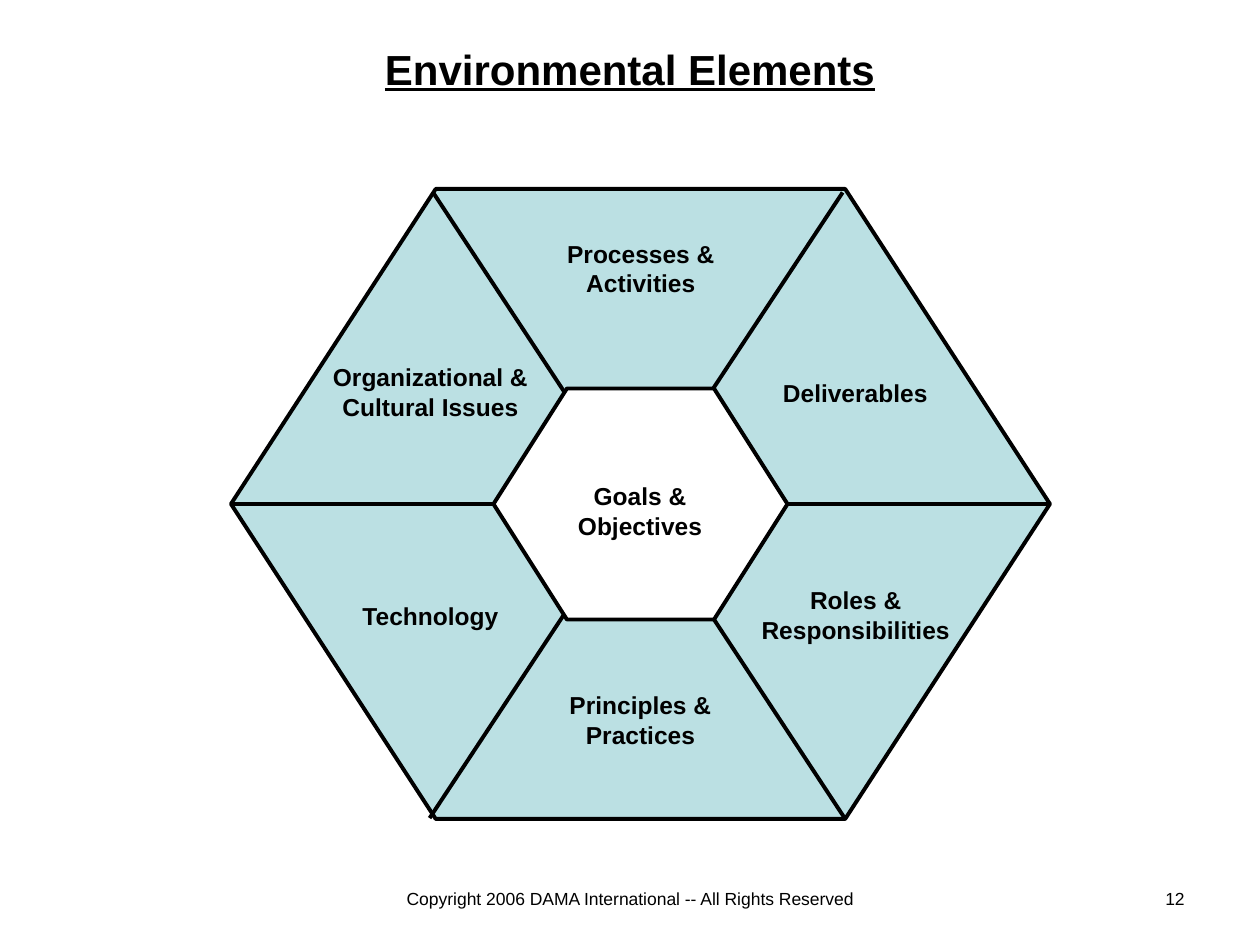
"""Build the Environmental Elements hexagon slide."""
from dataclasses import dataclass

import pptx
import pptx.dml.color
import pptx.enum.shapes
import pptx.enum.text
import pptx.oxml.ns
import pptx.shapes.group
import pptx.util
from lxml import etree

Pt = pptx.util.Pt
Align = pptx.enum.text.PP_ALIGN
BLACK = pptx.dml.color.RGBColor(0x00, 0x00, 0x00)
WHITE = pptx.dml.color.RGBColor(0xFF, 0xFF, 0xFF)
PALE_TEAL = pptx.dml.color.RGBColor(0xBB, 0xE0, 0xE3)
FONT = "Arial"
LINE_WIDTH = 2.25


@dataclass
class Hexagon:
    left: float
    top: float
    width: float
    height: float
    inset: float
    fill: pptx.dml.color.RGBColor


@dataclass
class Spoke:
    start: tuple[float, float]
    end: tuple[float, float]


@dataclass
class Label:
    text: str
    left: float
    top: float
    width: float
    height: float = 41


OUTER = Hexagon(132, 108, 468, 360, 0.325, PALE_TEAL)
CENTRE = Hexagon(282, 222, 168, 132, 0.318, WHITE)
SPOKES = [
    Spoke((600, 288), (132, 288)),
    Spoke((247.5, 110), (483, 468)),
    Spoke((245.5, 467.5), (481.5, 110)),
]
ELEMENTS = [
    Label("Roles & Responsibilities", 411, 331, 156),
    Label("Deliverables", 421, 212.5, 135.5, 24.5),
    Label("Principles & Practices", 315, 391, 102),
    Label("Organizational & Cultural Issues", 181, 203.5, 130),
    Label("Processes & Activities", 304, 133, 124.5),
    Label("Technology", 168, 340, 156, 24.5),
]
GOALS = Label("Goals & Objectives", 298, 271.5, 135.5)
COPYRIGHT = Label("Copyright 2006 DAMA International -- All Rights Reserved", 210, 504, 300, 25)
PAGE_NUMBER = Label("12", 516, 504, 168, 25)


def style_text(paragraph, size: float, align: Align, bold: bool = False) -> None:
    paragraph.alignment = align
    paragraph.font.name = FONT
    paragraph.font.size = Pt(size)
    paragraph.font.bold = bold
    paragraph.font.color.rgb = BLACK


def draw_hexagon(group: pptx.shapes.group.GroupShape, hexagon: Hexagon) -> None:
    shape = group.shapes.add_shape(
        pptx.enum.shapes.MSO_SHAPE.HEXAGON,
        Pt(hexagon.left), Pt(hexagon.top), Pt(hexagon.width), Pt(hexagon.height),
    )
    shape.adjustments[0] = hexagon.inset
    shape.shadow.inherit = False
    shape.fill.solid()
    shape.fill.fore_color.rgb = hexagon.fill
    shape.line.color.rgb = BLACK
    shape.line.width = Pt(LINE_WIDTH)


def draw_spoke(group: pptx.shapes.group.GroupShape, spoke: Spoke) -> None:
    line = group.shapes.add_connector(
        pptx.enum.shapes.MSO_CONNECTOR.STRAIGHT, *map(Pt, spoke.start + spoke.end)
    )
    line.line.color.rgb = BLACK
    line.line.width = Pt(LINE_WIDTH)
    etree.SubElement(line._element.spPr, pptx.oxml.ns.qn("a:effectLst"))


def draw_label(shapes, label: Label, size: float = 14, bold: bool = True,
               align: Align = Align.CENTER) -> None:
    box = shapes.add_textbox(Pt(label.left), Pt(label.top), Pt(label.width), Pt(label.height))
    box.text_frame.word_wrap = True
    box.text_frame.text = label.text
    style_text(box.text_frame.paragraphs[0], size, align, bold)


def draw_title(title, text: str) -> None:
    title.left, title.top, title.width, title.height = Pt(36), Pt(18), Pt(648), Pt(42)
    title.text_frame.text = text
    title.text_frame.vertical_anchor = pptx.enum.text.MSO_ANCHOR.MIDDLE
    paragraph = title.text_frame.paragraphs[0]
    style_text(paragraph, 24, Align.CENTER, True)
    paragraph.font.underline = True


def main() -> None:
    deck = pptx.Presentation()
    deck.slide_width, deck.slide_height = Pt(720), Pt(540)
    page = deck.slides.add_slide(deck.slide_layouts[5])
    draw_title(page.shapes.title, "Environmental Elements")
    draw_label(page.shapes, PAGE_NUMBER, 10, False, Align.RIGHT)
    draw_label(page.shapes, COPYRIGHT, 10, False)

    diagram = page.shapes.add_group_shape()
    draw_hexagon(diagram, OUTER)
    for spoke in SPOKES:
        draw_spoke(diagram, spoke)
    for element in ELEMENTS:
        draw_label(diagram.shapes, element)
    draw_hexagon(diagram, CENTRE)
    draw_label(diagram.shapes, GOALS)
    deck.save("out.pptx")


if __name__ == "__main__":
    main()
